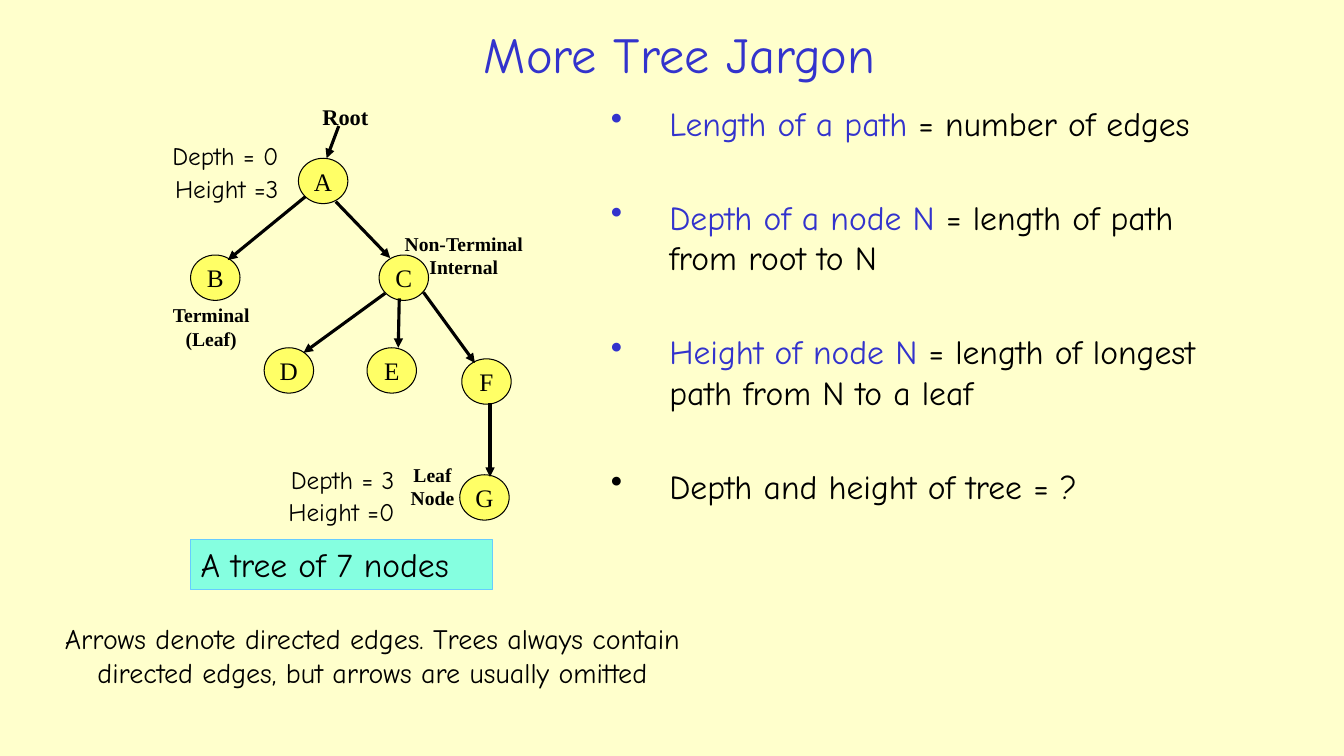
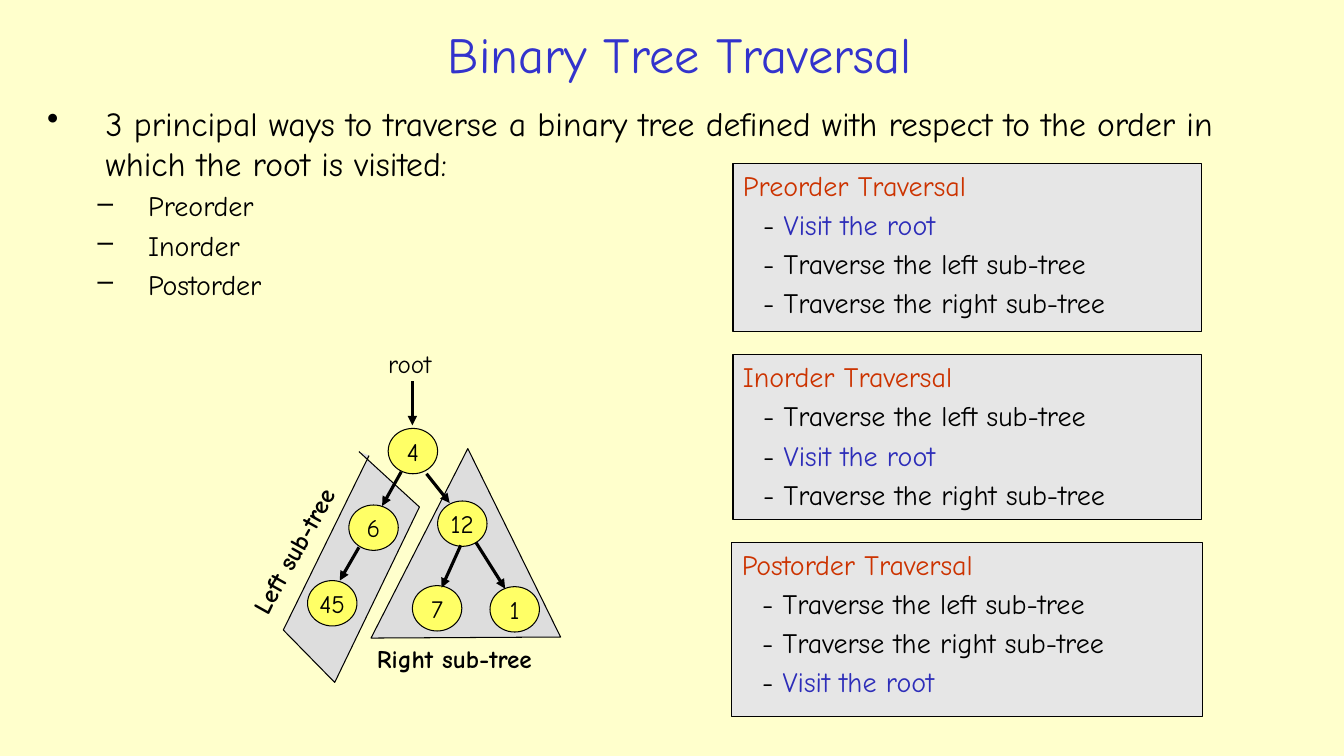
from dataclasses import dataclass
from typing import NamedTuple, Optional

from lxml.etree import SubElement
from pptx import Presentation
from pptx.dml.color import RGBColor
from pptx.enum.shapes import MSO_CONNECTOR, MSO_SHAPE
from pptx.enum.text import MSO_ANCHOR, MSO_AUTO_SIZE, PP_ALIGN
from pptx.oxml.ns import qn
from pptx.util import Inches, Pt

COLORS = {
    "page": "FFFFCC", "title": "3333CC", "text": "000000", "node": "FFFF66",
    "subtree": "DDDDDD", "panel": "E6E6E6", "heading": "CC3300", "visit": "2D2DB9",
    "caption": "85FFE0", "caption_line": "66CCFF",
}
SANS, SERIF = "Comic Neue", "Times New Roman"
LEFT, CENTER, RIGHT = PP_ALIGN.LEFT, PP_ALIGN.CENTER, PP_ALIGN.RIGHT
NODE_W, NODE_H = 0.49, 0.45


class Box(NamedTuple):
    x: float
    y: float
    w: float
    h: float

    def lengths(self) -> list:
        return [Inches(v) for v in self]


class Node(NamedTuple):
    label: str
    x: float
    y: float


class Arrow(NamedTuple):
    x1: float
    y1: float
    x2: float
    y2: float


@dataclass
class Para:
    runs: list  # (text, colour name) pairs
    size: float = 20
    before: Optional[float] = None  # points; a fifth of the size when not given
    margin: float = 0
    hang: float = 0
    bullet: str = ""
    level: int = 0


@dataclass
class Label:
    box: Box
    lines: list
    size: float = 18
    font: str = SANS
    bold: bool = False
    align: PP_ALIGN = LEFT
    wrap: bool = False
    spacing: Optional[float] = None
    before: float = 0
    rotation: float = 0


def rgb(name: str) -> RGBColor:
    return RGBColor.from_string(COLORS[name])


def style_run(r, size: float, color: str = "text", font: str = SANS, bold: bool = False) -> None:
    r.font.size, r.font.name, r.font.bold = Pt(size), font, bold
    r.font.color.rgb = rgb(color)


def paint(sp, fill: str, line: str = "text") -> None:
    sp.shadow.inherit = False
    sp.fill.solid()
    sp.fill.fore_color.rgb = rgb(fill)
    sp.line.color.rgb = rgb(line)
    sp.line.width = Pt(0.75)


def new_slide(prs, title: str):
    s = prs.slides.add_slide(prs.slide_layouts[5])
    sp = s.shapes.title
    sp.left, sp.top, sp.width, sp.height = Box(1.97, 0.15, 9.54, 0.76).lengths()
    tf = sp.text_frame
    tf.text = title
    tf.vertical_anchor = MSO_ANCHOR.MIDDLE
    tf.paragraphs[0].alignment = CENTER
    style_run(tf.paragraphs[0].runs[0], 36, "title")
    return s


def write_paras(tf, paras: list) -> None:
    tf.word_wrap = True
    tf.vertical_anchor = MSO_ANCHOR.TOP
    for i, para in enumerate(paras):
        p = tf.add_paragraph() if i else tf.paragraphs[0]
        p.alignment, p.level = LEFT, para.level
        if i:
            p.space_before = Pt(para.size / 5 if para.before is None else para.before)
        pPr = p._p.get_or_add_pPr()
        pPr.set("marL", str(Inches(para.margin)))
        pPr.set("indent", str(Inches(-para.hang)))
        if para.bullet:
            SubElement(pPr, qn("a:buChar")).set("char", para.bullet)
        for text, color in para.runs:
            r = p.add_run()
            r.text = text
            style_run(r, para.size, color)


def add_body(s, box: Box, paras: list) -> None:
    write_paras(s.shapes.add_textbox(*box.lengths()).text_frame, paras)


def add_label(s, label: Label) -> None:
    sp = s.shapes.add_textbox(*label.box.lengths())
    sp.rotation = label.rotation
    tf = sp.text_frame
    tf.text = "\n".join(label.lines)
    tf.word_wrap = label.wrap
    if not label.wrap:
        tf.auto_size = MSO_AUTO_SIZE.SHAPE_TO_FIT_TEXT
    for i, p in enumerate(tf.paragraphs):
        p.alignment = label.align
        if label.spacing:
            p.line_spacing = label.spacing
        if i and label.before:
            p.space_before = Pt(label.before)
        style_run(p.runs[0], label.size, font=label.font, bold=label.bold)


def add_node(s, node: Node, font: str) -> None:
    box = Box(node.x, node.y, NODE_W, NODE_H)
    sp = s.shapes.add_shape(MSO_SHAPE.OVAL, *box.lengths())
    paint(sp, "node")
    tf = sp.text_frame
    tf.text = node.label
    tf.word_wrap = False
    tf.vertical_anchor = MSO_ANCHOR.MIDDLE
    tf.paragraphs[0].alignment = CENTER
    style_run(tf.paragraphs[0].runs[0], 18, font=font)


def add_arrow(s, arrow: Arrow) -> None:
    line = s.shapes.add_connector(MSO_CONNECTOR.STRAIGHT, *[Inches(v) for v in arrow])
    line.line.color.rgb = rgb("text")
    line.line.width = Pt(2.25)
    SubElement(line.line._get_or_add_ln(), qn("a:tailEnd")).set("type", "triangle")
    SubElement(line._element.spPr, qn("a:effectLst"))


def add_tree(s, nodes: list, arrows: list, labels: list, font: str) -> None:
    for node in nodes:
        add_node(s, node, font)
    for arrow in arrows:
        add_arrow(s, arrow)
    for label in labels:
        add_label(s, label)


def add_outline(s, points: list, close: bool) -> None:
    (x, y), *rest = [(Inches(px), Inches(py)) for px, py in points]
    builder = s.shapes.build_freeform(x, y)
    builder.add_line_segments(rest, close=close)
    paint(builder.convert_to_shape(), "subtree")


def add_panel(s, box: Box, name: str, steps: list) -> None:
    sp = s.shapes.add_shape(MSO_SHAPE.RECTANGLE, *box.lengths())
    paint(sp, "panel")
    paras = [Para([(f"{name} Traversal", "heading")])]
    for step in steps:
        color = "visit" if step == VISIT else "text"
        paras.append(Para([("- ", "text"), (step, color)], margin=0.2))
    write_paras(sp.text_frame, paras)


def jargon_slide(prs) -> None:
    s = new_slide(prs, "More Tree Jargon")

    # Definitions
    terms = [
        [("Length of a path", "title"), (" = number of edges", "text")],
        [("Depth of a node N", "title"), (" = length of path from root to N", "text")],
        [("Height of node N", "title"),
         (" = length of longest path from N to a leaf", "text")],
        [("Depth and height of tree = ?", "text")],
    ]
    add_body(s, Box(5.96, 0.97, 6.51, 6.08),
             [Para(runs, 24, 38.4, 0.58, 0.58, "•") for runs in terms])

    # Tree
    nodes = [
        Node("A", 2.96, 1.57), Node("B", 1.89, 2.53), Node("C", 3.76, 2.53),
        Node("D", 2.62, 3.45), Node("E", 3.64, 3.45), Node("F", 4.58, 3.56),
        Node("G", 4.56, 4.71),
    ]
    arrows = [
        Arrow(3.03, 1.95, 2.26, 2.58), Arrow(3.33, 2, 3.87, 2.56),
        Arrow(3.82, 2.91, 3.01, 3.5), Arrow(3.96, 2.96, 3.95, 3.45),
        Arrow(4.2, 2.9, 4.71, 3.6), Arrow(4.86, 4, 4.86, 4.73),
        Arrow(3.36, 1.25, 3.24, 1.57),
    ]
    labels = [Label(Box(3.1, 0.97, 0.66, 0.37), ["Root"], 16, SERIF, True)]
    labels += [
        Label(box, lines, 14, SERIF, True, CENTER) for box, lines in [
            (Box(1.61, 2.96, 0.97, 0.57), ["Terminal", "(Leaf)"]),
            (Box(3.91, 2.25, 1.38, 0.57), ["Non-Terminal", "Internal"]),
            (Box(3.97, 4.54, 0.64, 0.57), ["Leaf", "Node"]),
        ]
    ]
    labels += [
        Label(Box(x, y, 1.39, 0.62), lines, align=RIGHT, wrap=True, spacing=0.9, before=3.6)
        for x, y, lines in [
            (1.47, 1.38, ["Depth = 0", "Height =3"]),
            (2.62, 4.59, ["Depth = 3", "Height =0"]),
        ]
    ]
    add_tree(s, nodes, arrows, labels, SERIF)

    # Caption and remark
    sp = s.shapes.add_shape(MSO_SHAPE.RECTANGLE, *Box(1.89, 5.35, 2.99, 0.5).lengths())
    paint(sp, "caption", "caption_line")
    write_paras(sp.text_frame, [Para([("A tree of 7 nodes", "text")], 24)])
    remark = ("Arrows denote directed edges. Trees always contain directed edges, "
              "but arrows are usually omitted")
    add_label(s, Label(Box(0.19, 6.12, 7.01, 0.77), [remark], 20, align=CENTER, wrap=True))


VISIT = "Visit the root"
GO_LEFT, GO_RIGHT = "Traverse the left sub-tree", "Traverse the right sub-tree"


def traversal_slide(prs) -> None:
    s = new_slide(prs, "Binary Tree Traversal")

    # Sub-tree outlines
    add_outline(s, [(4.64, 4.45), (3.68, 6.33), (5.56, 6.32)], close=True)
    add_outline(s, [(3.56, 4.48), (4.16, 5.03), (3.32, 6.77), (2.81, 6.25), (3.66, 4.52)],
                close=False)

    # Introduction and panels
    panels = [
        ("Preorder", Box(7.27, 1.62, 4.65, 1.67), [VISIT, GO_LEFT, GO_RIGHT]),
        ("Inorder", Box(7.27, 3.52, 4.65, 1.63), [GO_LEFT, VISIT, GO_RIGHT]),
        ("Postorder", Box(7.26, 5.38, 4.67, 1.73), [GO_LEFT, GO_RIGHT, VISIT]),
    ]
    intro = ("3 principal ways to traverse a binary tree defined with respect to "
             "the order in which the root is visited:")
    paras = [Para([(intro, "text")], 24, margin=0.58, hang=0.58, bullet="•")]
    paras += [Para([(name, "text")], margin=1, hang=0.5, bullet="–", level=1)
              for name, _, _ in panels]
    add_body(s, Box(0.37, 0.97, 12.42, 2.55), paras)
    for name, box, steps in panels:
        add_panel(s, box, name, steps)

    # Tree
    nodes = [
        Node("4", 3.85, 4.25), Node("6", 3.46, 5.01), Node("12", 4.34, 4.97),
        Node("45", 3.05, 5.76), Node("7", 4.09, 5.81), Node("1", 4.86, 5.82),
    ]
    arrows = [
        Arrow(4.23, 4.7, 4.46, 4.99), Arrow(3.98, 4.68, 3.79, 5.02),
        Arrow(3.56, 5.43, 3.37, 5.76), Arrow(4.57, 5.41, 4.38, 5.83),
        Arrow(4.09, 3.78, 4.09, 4.22), Arrow(4.72, 5.38, 5.01, 5.84),
    ]
    labels = [
        Label(Box(3.75, 3.41, 0.71, 0.4), ["root"]),
        Label(Box(2.03, 5.12, 1.92, 0.4), ["Left sub-tree"], bold=True, wrap=True,
              rotation=299.2),
        Label(Box(3.64, 6.33, 2.02, 0.4), ["Right sub-tree"], bold=True, wrap=True),
    ]
    add_tree(s, nodes, arrows, labels, SANS)


def main() -> None:
    prs = Presentation()
    prs.slide_width, prs.slide_height = Inches(13.33), Inches(7.5)
    background = prs.slide_master.background.fill
    background.solid()
    background.fore_color.rgb = rgb("page")
    jargon_slide(prs)
    traversal_slide(prs)
    prs.save("out.pptx")


if __name__ == "__main__":
    main()
